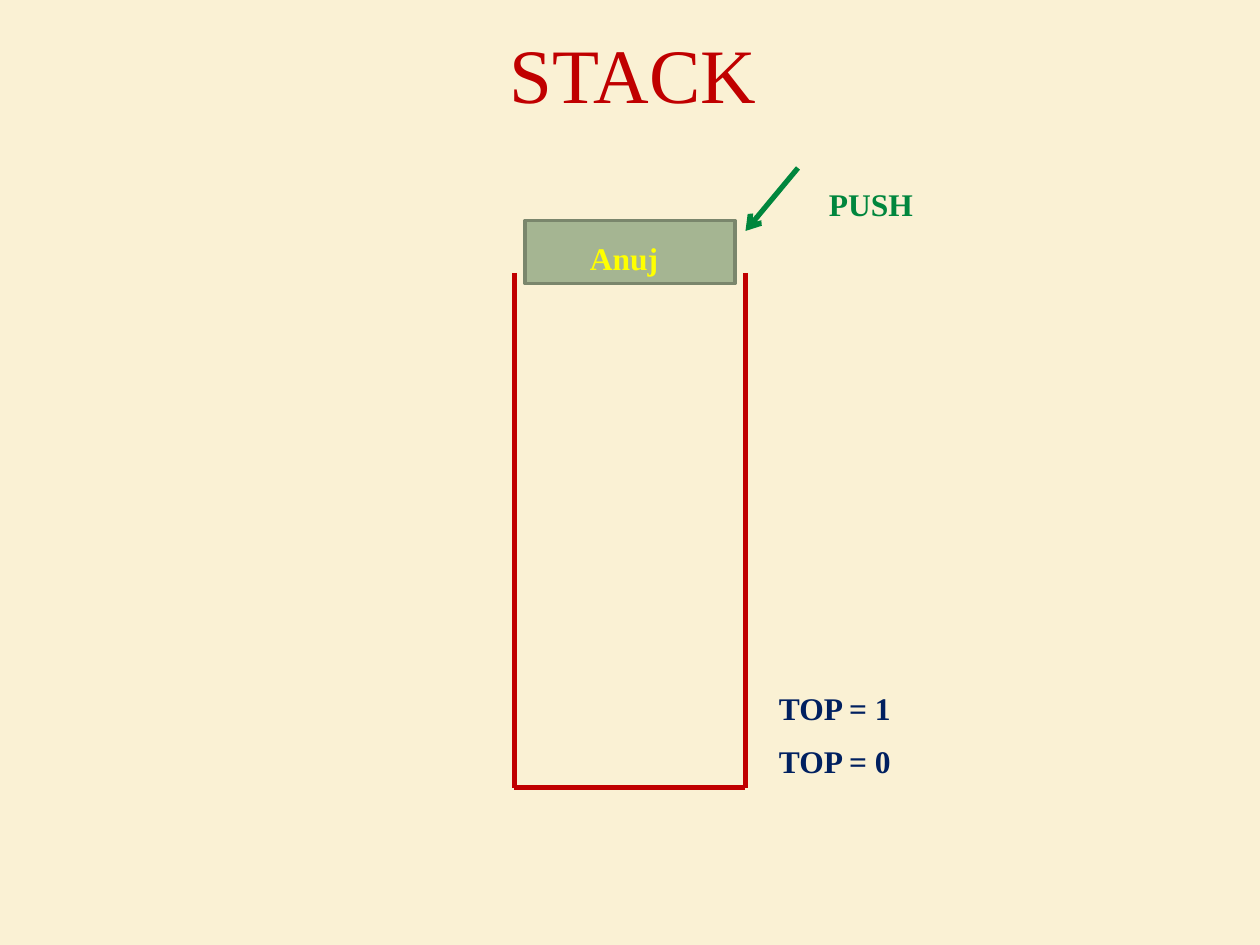
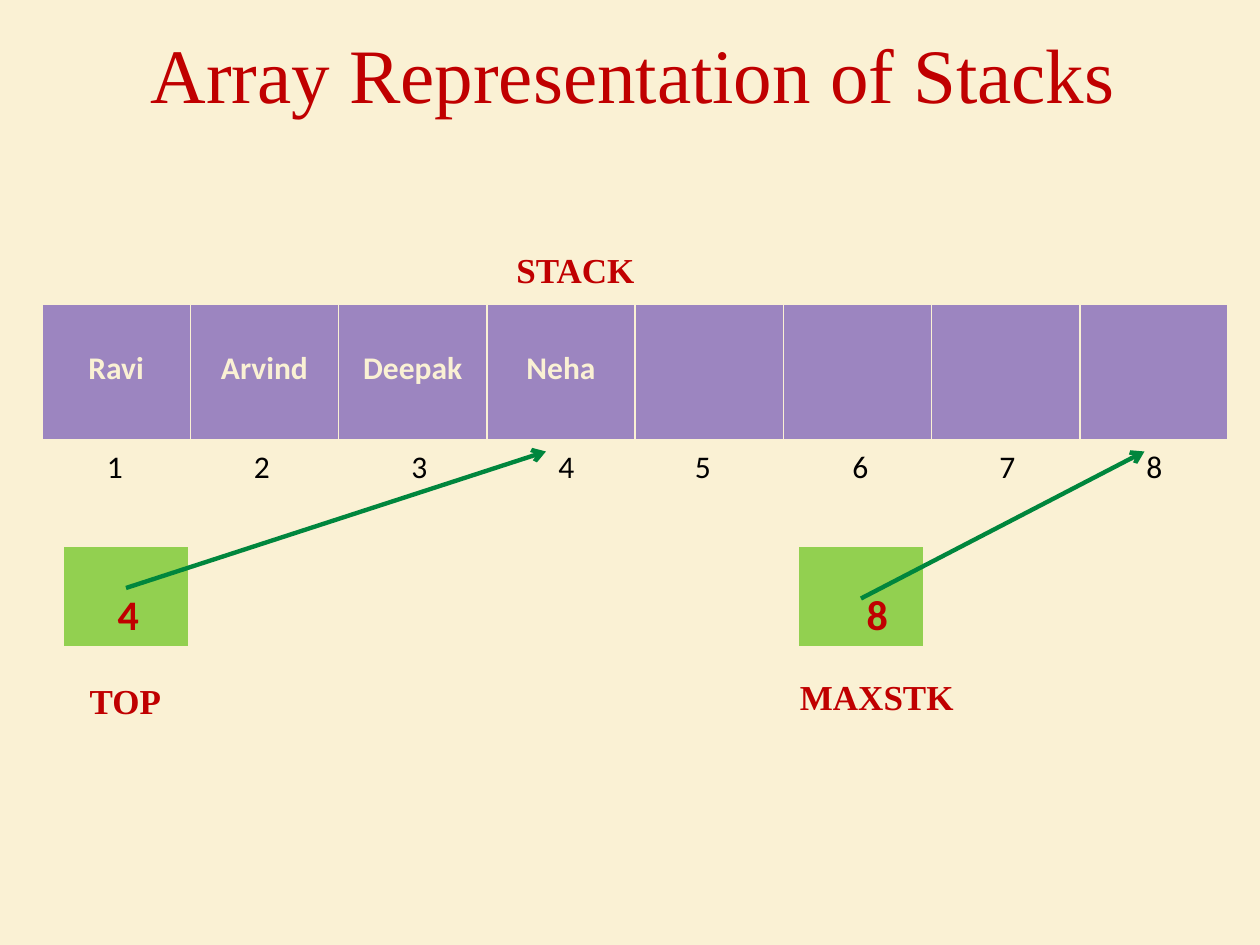
from dataclasses import dataclass

from lxml import etree
from pptx import Presentation, util as u
from pptx.dml.color import RGBColor
from pptx.enum import shapes, text
from pptx.oxml import ns

CREAM = RGBColor(0xFA, 0xF1, 0xD4)
RED = RGBColor(0xC0, 0x00, 0x00)
GREEN = RGBColor(0x00, 0x86, 0x3D)
NAVY = RGBColor(0x00, 0x20, 0x60)
YELLOW = RGBColor(0xFF, 0xFF, 0x00)
BLACK = RGBColor(0x00, 0x00, 0x00)
SAGE = RGBColor(0xA5, 0xB5, 0x92)
MOSS = RGBColor(0x7A, 0x86, 0x6C)
PURPLE = RGBColor(0x9C, 0x85, 0xC0)
LIME = RGBColor(0x92, 0xD0, 0x50)
SERIF = "Times New Roman"
SANS = "Calibri"


@dataclass
class Label:
    words: str
    left: float
    top: float
    width: float
    height: float = 29
    color: RGBColor = RED
    size: float = 18
    font: str = SERIF
    bold: bool = True
    center: bool = False


@dataclass
class Line:
    x1: float
    y1: float
    x2: float
    y2: float
    color: RGBColor = RED
    weight: float = 3
    arrow: bool = False


@dataclass
class Grid:
    words: list[str]
    left: float
    top: float
    width: float
    height: float
    fill: RGBColor
    color: RGBColor
    size: float
    indent: float = 7.2
    center: bool = False


def style(para, words: str, color: RGBColor, size: float, font: str, bold: bool, center: bool) -> None:
    para.text = words
    para.alignment = text.PP_ALIGN.CENTER if center else text.PP_ALIGN.LEFT
    for run in para.runs:
        run.font.name = font
        run.font.size = u.Pt(size)
        run.font.bold = bold
        run.font.color.rgb = color


def draw_label(slide, label: Label) -> None:
    box = slide.shapes.add_textbox(*map(u.Pt, (label.left, label.top, label.width, label.height)))
    frame = box.text_frame
    frame.word_wrap = False
    frame.vertical_anchor = text.MSO_ANCHOR.MIDDLE
    style(frame.paragraphs[0], label.words, label.color, label.size, label.font, label.bold, label.center)


def draw_line(slide, line: Line) -> None:
    link = slide.shapes.add_connector(
        shapes.MSO_CONNECTOR.STRAIGHT, *map(u.Pt, (line.x1, line.y1, line.x2, line.y2)))
    link.line.color.rgb = line.color
    link.line.width = u.Pt(line.weight)
    if line.arrow:
        etree.SubElement(link.line._get_or_add_ln(), ns.qn("a:tailEnd"), type="arrow")
    etree.SubElement(link._element.spPr, ns.qn("a:effectLst"))


def add_edges(cell) -> None:
    props = cell._tc.get_or_add_tcPr()
    for spot, (side, weight) in enumerate((("L", 1), ("R", 1), ("T", 1), ("B", 3))):
        edge = etree.Element(ns.qn(f"a:ln{side}"), w=str(u.Pt(weight)))
        fill = etree.SubElement(edge, ns.qn("a:solidFill"))
        etree.SubElement(fill, ns.qn("a:srgbClr"), val=str(CREAM))
        props.insert(spot, edge)


def draw_grid(slide, grid: Grid) -> None:
    frame = slide.shapes.add_table(
        1, len(grid.words), *map(u.Pt, (grid.left, grid.top, grid.width, grid.height)))
    for cell, words in zip(frame.table.rows[0].cells, grid.words):
        cell.fill.solid()
        cell.fill.fore_color.rgb = grid.fill
        cell.margin_left = u.Pt(grid.indent)
        cell.margin_top = u.Pt(25.6)
        style(cell.text_frame.paragraphs[0], words, grid.color, grid.size, SANS, True, grid.center)
        add_edges(cell)


def draw_block(slide) -> None:
    block = slide.shapes.add_shape(shapes.MSO_SHAPE.RECTANGLE, *map(u.Pt, (300, 126, 120, 36)))
    block.shadow.inherit = False
    block.fill.solid()
    block.fill.fore_color.rgb = SAGE
    block.line.color.rgb = MOSS
    block.line.width = u.Pt(2)


def add_slide(deck, title: str):
    slide = deck.slides.add_slide(deck.slide_layouts[6])
    slide.background.fill.solid()
    slide.background.fill.fore_color.rgb = CREAM
    draw_label(slide, Label(title, 39.6, 0, 644.4, 82.8, size=44, bold=False, center=True))
    return slide


def push_slide(deck) -> None:
    slide = add_slide(deck, "STACK")
    left, right, top, base = 294, 426, 156, 450
    for line in (
        Line(left, top, left, base),
        Line(right, top, right, base),
        Line(left, base, right, base),
        Line(456, 96, right, 132, GREEN, arrow=True),
    ):
        draw_line(slide, line)
    draw_block(slide)
    for label in (
        Label("Anuj", 330, 133, 54, color=YELLOW),
        Label("PUSH", 466.6, 102, 63, color=GREEN),
        Label("TOP = 1", 438, 390, 79, color=NAVY),
        Label("TOP = 0", 438, 420, 79, color=NAVY),
    ):
        draw_label(slide, label)


def array_slide(deck) -> None:
    slide = add_slide(deck, "Array Representation of Stacks")
    names = ["Ravi", "Arvind", "Deepak", "Neha"] + [""] * 4
    for grid in (
        Grid(names, 24, 174, 678, 78, PURPLE, CREAM, 18, center=True),
        Grid(["4"], 36, 312, 72, 58.5, LIME, RED, 24, 31.2),
        Grid(["8"], 456, 312, 72, 58.5, LIME, RED, 24, 39.2),
    ):
        draw_grid(slide, grid)
    for label in (
        Label("STACK", 288, 138, 83, 32, size=20),
        Label("TOP", 44.2, 384, 56, 32, size=20),
        Label("MAXSTK", 450, 382, 103, 32, size=20),
    ):
        draw_label(slide, label)
    for line in (
        Line(72, 336, 312, 258, GREEN, 2.5, True),
        Line(492, 342, 654, 258, GREEN, 2.5, True),
    ):
        draw_line(slide, line)
    for count, left in enumerate((54, 138, 228, 312, 390, 480, 564, 648), 1):
        draw_label(slide, Label(str(count), left, 252, 24, color=BLACK, font=SANS, bold=False))


def main() -> None:
    deck = Presentation()
    deck.slide_width = u.Pt(720)
    deck.slide_height = u.Pt(540)
    push_slide(deck)
    array_slide(deck)
    deck.save("out.pptx")


if __name__ == "__main__":
    main()
